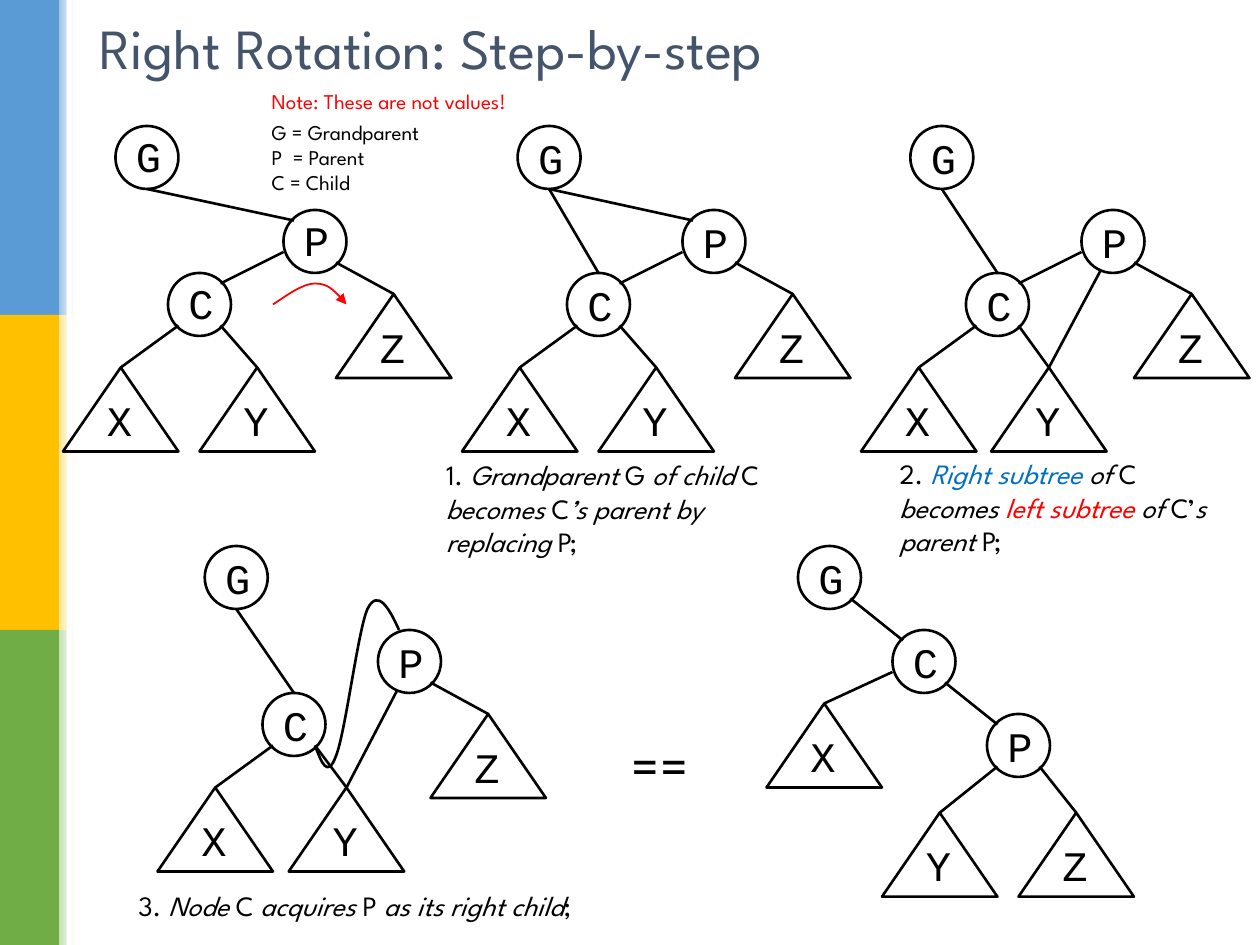
from lxml.etree import SubElement
from pptx import Presentation
from pptx.dml.color import RGBColor
from pptx.enum.shapes import MSO_CONNECTOR as CONNECTOR, MSO_SHAPE as SHAPE
from pptx.enum.text import MSO_ANCHOR as ANCHOR, PP_ALIGN as ALIGN
from pptx.oxml.ns import qn
from pptx.util import Inches, Pt

# The slide is a grid of 120 columns by 90 rows.
COLUMNS, ROWS = 120, 90
CELL = Inches(10) / COLUMNS
BLACK, RED, BLUE = "000000", "FF0000", "0070C0"
SANS, MONO = "League Spartan", "Courier New"
NODE, TRIANGLE = 6, (11, 8)

# Where an edge meets a node, measured from the node's centre.
PORTS = {"n": (0, -3), "s": (0, 3), "w": (-3, 1), "ssw": (-1.2, 2.8),
         "nw": (-2, -2), "ne": (2, -2), "sw": (-2, 2), "se": (2, 2)}

START = {"G": (5, 0), "P": (21, 8), "C": (10, 14),
         "X": (0, 23), "Y": (13, 23), "Z": (26, 16)}
ROTATED = {"G": (3, 0), "C": (12, 8), "P": (21, 16),
           "X": (0, 15), "Y": (11, 25.4), "Z": (24, 25.4)}
COMMON_EDGES = ["C.sw X", "C.se Y", "P.se Z"]

# left, top, part positions, edges besides the common ones, label shift
TREES = [
    (6, 12, START, COMMON_EDGES + ["P.w C.ne", "G.s P.nw"], -0.2),
    (44, 12, START | {"G": (5.3, 0)},
     COMMON_EDGES + ["P.w C.ne", "G.s P.nw", "G.s C.n"], 0),
    (82, 12, START | {"G": (4.7, 0), "Y": (12.4, 23)},
     COMMON_EDGES + ["P.w C.ne", "G.s C.n", "P.ssw Y"], 0),
    (15, 52, START | {"G": (4.5, 0), "Y": (12.5, 23)},
     COMMON_EDGES + ["G.s C.n", "P.ssw Y"], 0),
    (73, 52, ROTATED,
     ["G.se C.nw", "C.w X", "C.se P.nw", "P.sw Y", "P.se Z"], 0),
]

ROTATION_ARROW = [(20, 17), (21.5, 16), (22.9, 15), (24, 15),
                  (25.2, 15), (26.2, 16), (27, 17)]
NEW_CHILD_CURVE = [(15, 19), (15.6, 20.6), (16.2, 22.2), (17, 20),
                   (17.9, 17.8), (19.1, 8), (20, 6),
                   (21, 4), (22.1, 6), (23, 8)]

# left, top, width, height, runs of (text, italic, colour)
CAPTIONS = [
    (41.3, 43, 39.8, 10.9, [
        ("1. ", False), ("Grandparent ", True), ("G ", False),
        ("of child", True), (" C ", False), "break", ("becomes", True),
        (" C", False), ("’s parent by ", True), "break",
        ("replacing ", True), ("P;", False)]),
    (84.5, 42.9, 33.4, 10.9, [
        ("2. ", False), ("Right subtree ", True, BLUE), ("of", True),
        (" C ", False), ("becomes ", True), ("left subtree ", True, RED),
        ("of", True), (" C’", False), ("s parent ", True), ("P;", False)]),
    (12, 84, 51, 4.4, [
        ("3. ", False), ("Node ", True), ("C ", False), ("acquires", True),
        (" P ", False), ("as its right child", True), (";", False)]),
]


def cells(*values):
    return [round(value * CELL) for value in values]


def color(hex_string):
    return RGBColor.from_string(hex_string)


def set_line(shape, hex_string=BLACK, width=1.5):
    shape.line.color.rgb = color(hex_string)
    shape.line.width = Pt(width)


def add_outline(slide, kind, left, top, width, height):
    shape = slide.shapes.add_shape(kind, *cells(left, top, width, height))
    shape.shadow.inherit = False
    shape.fill.background()
    set_line(shape)


def add_edge(slide, start, end):
    edge = slide.shapes.add_connector(CONNECTOR.STRAIGHT, *cells(*start, *end))
    set_line(edge)
    SubElement(edge._element.spPr, qn("a:effectLst"))


def add_curve(slide, left, top, points):
    """Draw Bézier segments: a start, then two handles and an end for each."""
    placed = [cells(left + x, top + y) for x, y in points]
    builder = slide.shapes.build_freeform(*placed[0])
    builder.add_line_segments(placed[1:], close=False)
    shape = builder.convert_to_shape()
    shape.shadow.inherit = False
    shape.fill.background()
    steps = list(shape._element.iter(qn("a:lnTo")))
    for first in range(0, len(steps), 3):
        curve, *others = steps[first:first + 3]
        curve.tag = qn("a:cubicBezTo")
        for other in others:
            curve.append(other[0])
            other.getparent().remove(other)
    return shape


def add_text_frame(slide, left, top, width, height):
    box = slide.shapes.add_textbox(*cells(left, top, width, height))
    box.text_frame.word_wrap = True
    return box.text_frame


def add_run(paragraph, text, size, hex_string=BLACK, font=SANS, italic=False):
    run = paragraph.add_run()
    run.text = text
    run.font.size = Pt(size)
    run.font.name = font
    run.font.italic = italic
    run.font.color.rgb = color(hex_string)


def add_label(slide, letter, left, top, align):
    paragraph = add_text_frame(slide, left, top, NODE, NODE).paragraphs[0]
    paragraph.alignment = align
    spacing = SubElement(paragraph._p.get_or_add_pPr(), qn("a:spcBef"))
    SubElement(spacing, qn("a:spcPct")).set("val", "50000")
    add_run(paragraph, letter, 24, font=MONO)


def add_tree(slide, left, top, parts, edges, label_shift):
    def anchor(name):
        letter, _, port = name.partition(".")
        x, y = parts[letter]
        if not port:
            return left + x + TRIANGLE[0] / 2, top + y
        across, down = PORTS[port]
        return left + x + NODE / 2 + across, top + y + NODE / 2 + down

    for letter, (x, y) in parts.items():
        x, y = left + x, top + y
        if letter in "XYZ":
            add_outline(slide, SHAPE.ISOSCELES_TRIANGLE, x, y, *TRIANGLE)
            add_label(slide, letter, x + 3, y + 2, ALIGN.LEFT)
        else:
            add_outline(slide, SHAPE.OVAL, x, y, NODE, NODE)
            add_label(slide, letter, x + 0.15, y + label_shift, ALIGN.CENTER)
    for edge in edges:
        start, end = edge.split()
        add_edge(slide, anchor(start), anchor(end))


def add_sidebar(slide):
    def add_band(left, top, width, height):
        band = slide.shapes.add_shape(
            SHAPE.RECTANGLE, *cells(left, top, width, height))
        band.shadow.inherit = False
        band.line.fill.background()
        return band.fill

    third = ROWS / 3
    bands = [("5B9BD5", "9DC3E6"), ("FFC000", "FFE699"), ("70AD47", "C5E0B4")]
    for index, (strong, pale) in enumerate(bands):
        fill = add_band(0, index * third, 5.64, third)
        fill.solid()
        fill.fore_color.rgb = color(strong)
        fade = add_band(5.64, index * third, 1.44, third)
        fade.gradient()
        fade.gradient_angle = 0
        for stop, shade in zip(fade.gradient_stops, (pale, "FFFFFF")):
            stop.color.rgb = color(shade)
    gap = add_band(6.36, 0, 0.48, ROWS)
    gap.solid()
    gap.fore_color.rgb = color("FFFFFF")


def add_title(slide, left, top, width, height):
    frame = add_text_frame(slide, left, top, width, height)
    frame.vertical_anchor = ANCHOR.MIDDLE
    frame.paragraphs[0].line_spacing = 0.9
    add_run(frame.paragraphs[0], "Right Rotation: Step-by-step", 32.4, "44546A")


def add_legend(slide, left, top, width, height):
    frame = add_text_frame(slide, left, top, width, height)
    add_run(frame.paragraphs[0], "Note: These are not values!", 12, RED)
    for index, text in enumerate(["G = Grandparent", "P  = Parent", "C = Child"]):
        paragraph = frame.add_paragraph()
        paragraph.space_before = Pt(0 if index else 3.6)
        add_run(paragraph, text, 12)


def add_caption(slide, left, top, width, height, runs):
    paragraph = add_text_frame(slide, left, top, width, height).paragraphs[0]
    for run in runs:
        if run == "break":
            paragraph.add_line_break()
        else:
            text, italic, *shade = run
            add_run(paragraph, text, 16, *shade, italic=italic)


def main():
    presentation = Presentation()
    presentation.slide_width, presentation.slide_height = cells(COLUMNS, ROWS)
    slide = presentation.slides.add_slide(presentation.slide_layouts[6])
    add_sidebar(slide)
    add_title(slide, 8.3, 0.8, 103.4, 8.2)
    for tree in TREES:
        add_tree(slide, *tree)
    set_line(add_curve(slide, *TREES[3][:2], NEW_CHILD_CURVE))
    arrow = add_curve(slide, *TREES[0][:2], ROTATION_ARROW)
    set_line(arrow, RED, 1)
    SubElement(arrow.line._get_or_add_ln(), qn("a:tailEnd")).set("type", "triangle")
    for caption in CAPTIONS:
        add_caption(slide, *caption)
    equals = add_text_frame(slide, 59, 69, 9, 7.7)
    add_run(equals.paragraphs[0], "==", 32)
    add_legend(slide, 24.7, 7.8, 28.9, 11.5)
    presentation.save("out.pptx")


if __name__ == "__main__":
    main()
